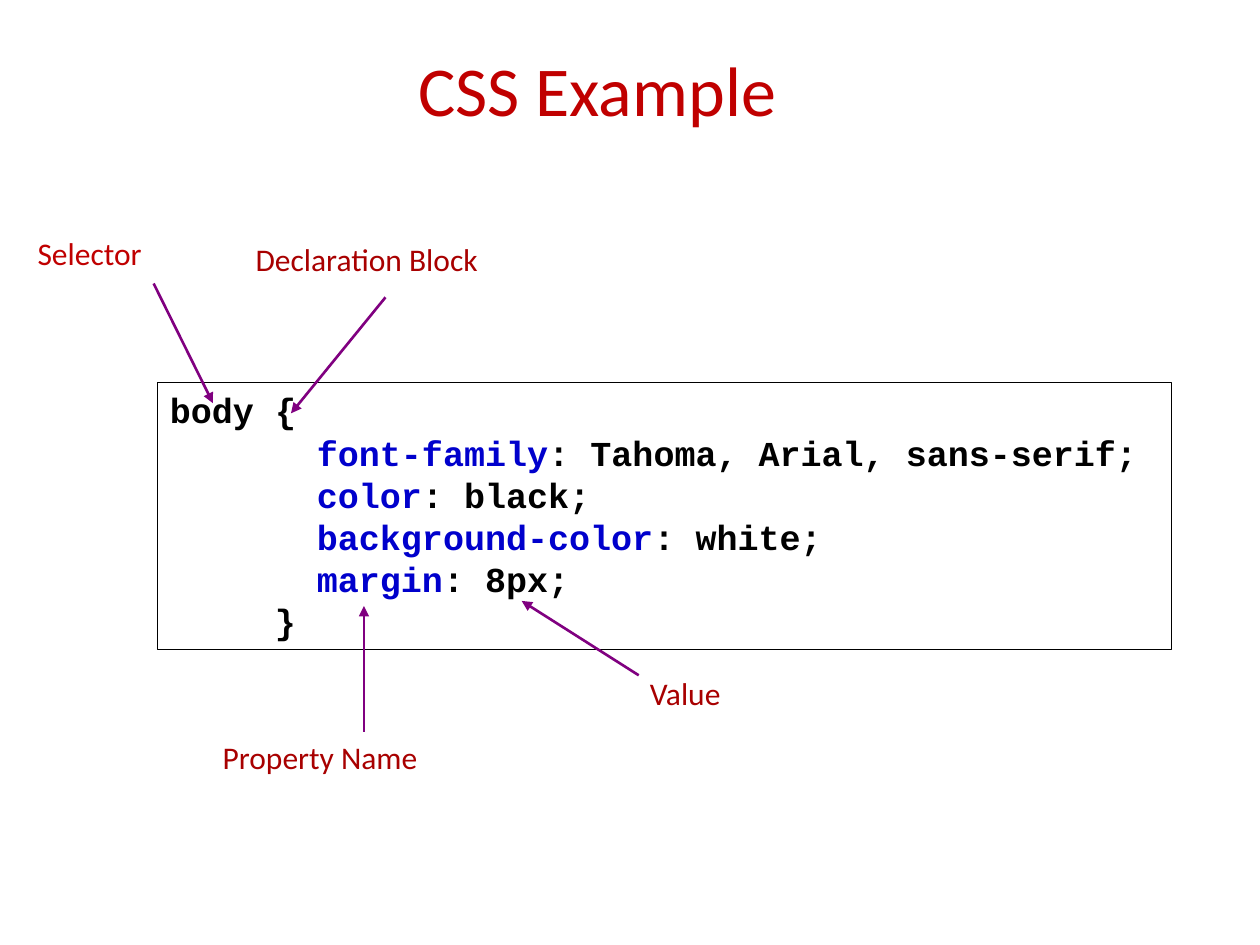
from pptx import Presentation, util as u
from pptx.dml.color import RGBColor
from pptx.enum import shapes, text
from pptx.oxml.ns import qn
from lxml import etree

Pt = u.Pt


def rgb(value):
    return RGBColor.from_string(value)


def add_run(p, words, color, **fmt):
    r = p.add_run()
    r.text = words
    r.font.color.rgb = rgb(color)
    for name, value in fmt.items():
        setattr(r.font, name, value)


prs = Presentation()
prs.slide_width, prs.slide_height = Pt(720), Pt(540)
s = prs.slides.add_slide(prs.slide_layouts[5])

title = s.shapes.title
title.left, title.top, title.width, title.height = Pt(35.3), Pt(22.3), Pt(612), Pt(56.2)
title.text_frame.vertical_anchor = text.MSO_ANCHOR.MIDDLE
p = title.text_frame.paragraphs[0]
p.alignment = text.PP_ALIGN.CENTER
add_run(p, "CSS Example", "C00000", name="Calibri", size=Pt(40))

box = s.shapes.add_shape(shapes.MSO_SHAPE.RECTANGLE, Pt(90), Pt(218.6), Pt(579.6), Pt(152.6))
box.shadow.inherit = False
box.fill.background()
box.line.color.rgb = rgb("000000")
box.line.width = Pt(0.75)
tf = box.text_frame
tf.word_wrap = True
tf.vertical_anchor = text.MSO_ANCHOR.TOP

code = {"name": "Courier New", "size": Pt(20), "bold": True}
char_width = 12
lines = [
    (0, "", "body {"),
    (7, "font-family", ": Tahoma, Arial, sans-serif;"),
    (7, "color", ": black;"),
    (7, "background-color", ": white;"),
    (7, "margin", ": 8px;"),
    (5, "", "}"),
]
for i, (indent, prop, rest) in enumerate(lines):
    p = tf.add_paragraph() if i else tf.paragraphs[0]
    p.alignment = text.PP_ALIGN.LEFT
    p.line_spacing = Pt(24.1)
    p._p.get_or_add_pPr().set("marL", str(Pt(indent * char_width)))
    if prop:
        add_run(p, prop, "0000CC", **code)
    add_run(p, rest, "000000", **code)

labels = [
    ("Selector", 14.4, 130.3, 103, "C00000"),
    ("Declaration Block", 139, 133.9, 201.6, "A80000"),
    ("Property Name", 120.2, 418.3, 177.8, "A80000"),
    ("Value", 364.3, 381.6, 76.3, "A80000"),
]
for words, x, y, width, color in labels:
    sp = s.shapes.add_textbox(Pt(x), Pt(y), Pt(width), Pt(36))
    sp.text_frame.word_wrap = True
    add_run(sp.text_frame.paragraphs[0], words, color, name="Calibri", size=Pt(18))

arrows = [
    (87.8, 162, 121.7, 230.4),
    (220.3, 169.9, 166.3, 236.2),
    (208, 418.3, 208, 346.3),
    (365, 385.9, 298.1, 343.4),
]
for ends in arrows:
    cx = s.shapes.add_connector(shapes.MSO_CONNECTOR.STRAIGHT, *map(Pt, ends))
    cx.line.color.rgb = rgb("800080")
    cx.line.width = Pt(1.5)
    etree.SubElement(cx.line._get_or_add_ln(), qn("a:tailEnd"), type="triangle")
    etree.SubElement(cx._element.spPr, qn("a:effectLst"))

prs.save("out.pptx")
